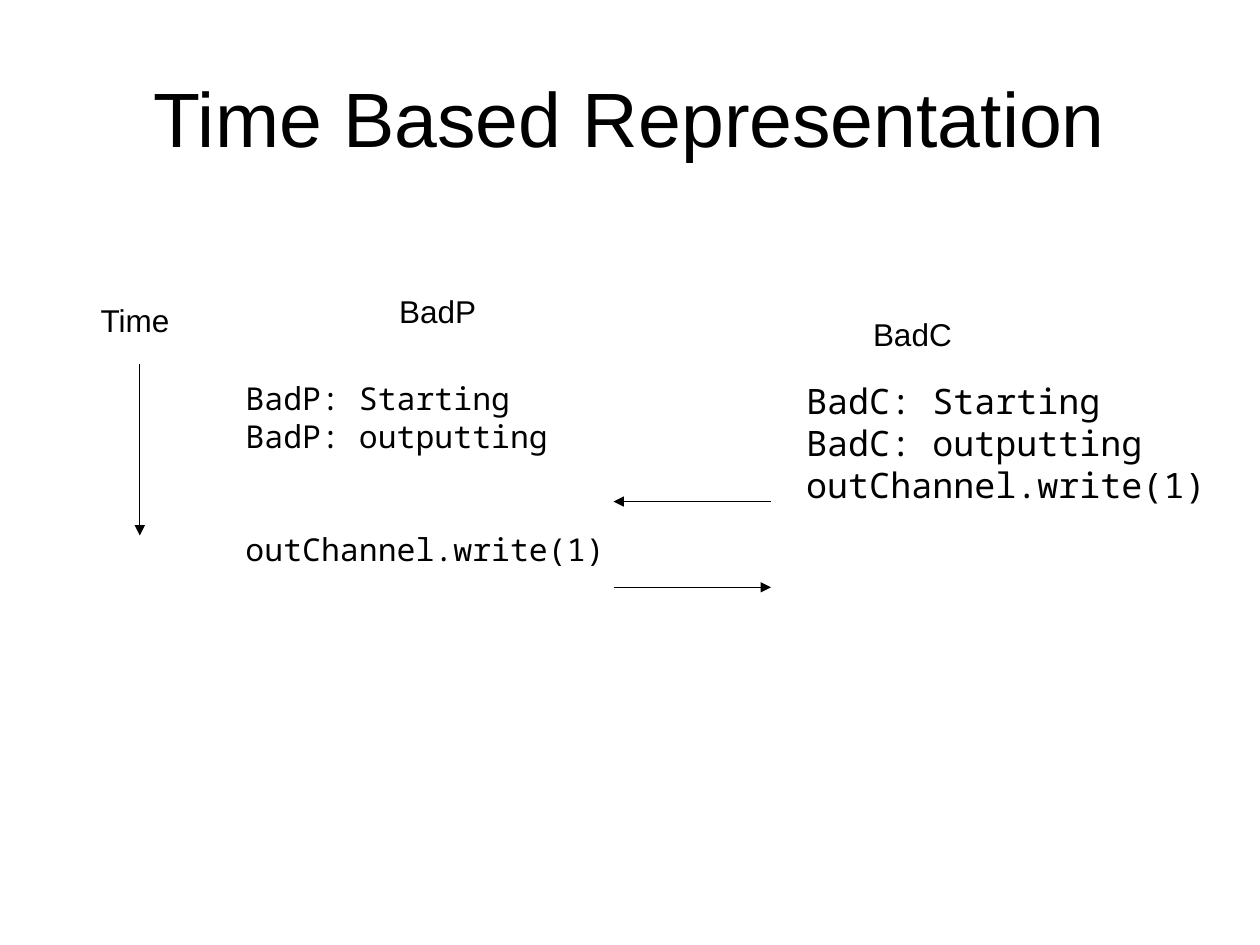
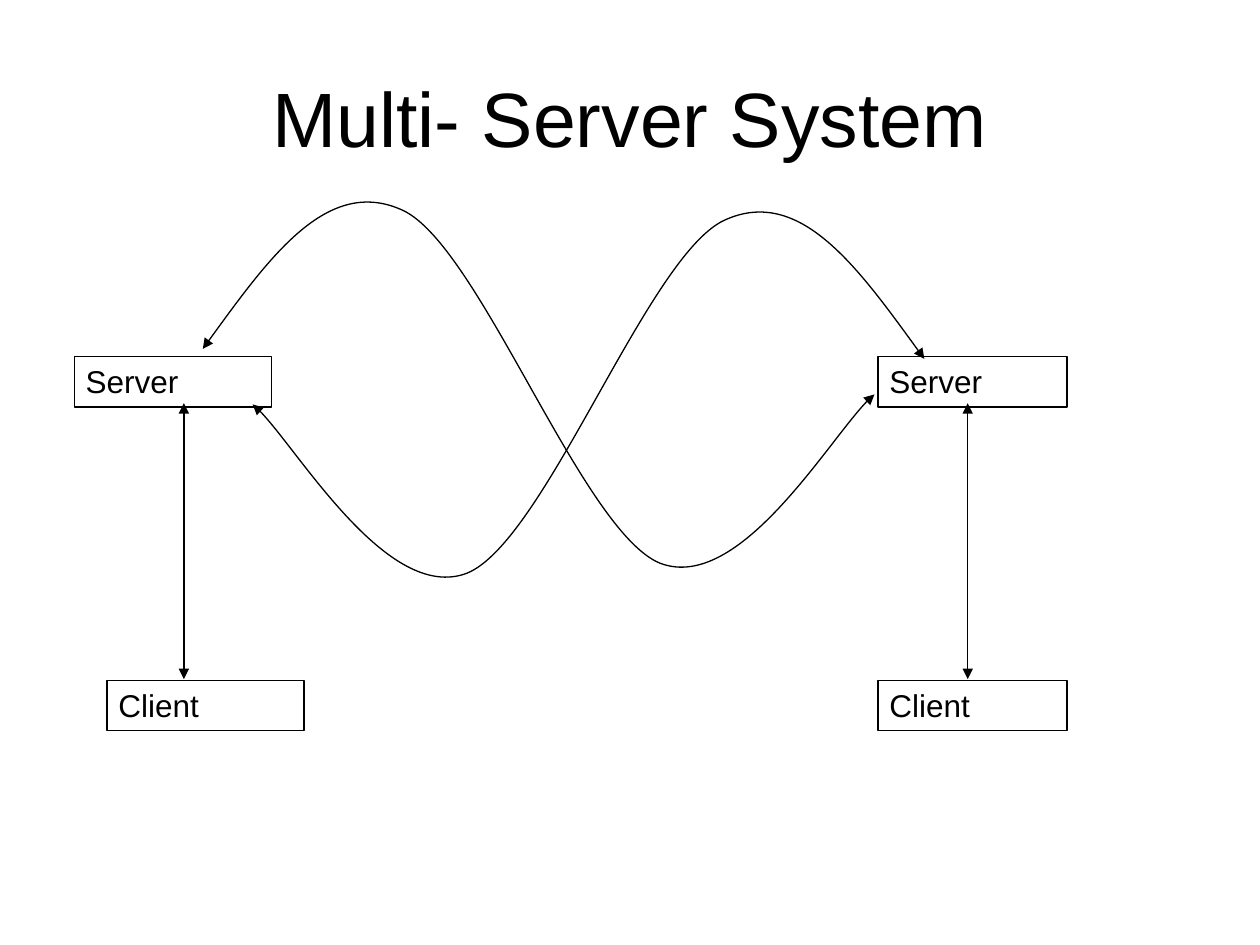
from pptx import Presentation
from pptx.dml.color import RGBColor
from pptx.enum.shapes import MSO_CONNECTOR
from pptx.enum.text import MSO_ANCHOR, MSO_AUTO_SIZE, PP_ALIGN
from pptx.oxml.ns import qn
from pptx.oxml.xmlchemy import OxmlElement
from pptx.util import Pt

STRAIGHT = MSO_CONNECTOR.STRAIGHT
MIDDLE = MSO_ANCHOR.MIDDLE
GROW = MSO_AUTO_SIZE.SHAPE_TO_FIT_TEXT
LEFT, CENTER = PP_ALIGN.LEFT, PP_ALIGN.CENTER

COLORS = {"ink": "000000", "paper": "FFFFFF"}
SANS, MONO = "Arial", "Noto Sans Mono"
TITLE_ONLY = 5
WAVE = [(0, 99.3), (36, 49.7), (71.3, 0), (114.5, 20.2), (158.4, 41),
        (216.7, 203.8), (261.4, 221.8), (306.7, 239), (363.6, 141.1), (383.8, 125.3)]


def color(name):
    return RGBColor.from_string(COLORS[name])


def write(para, text, size, font=SANS, align=LEFT):
    para.alignment = align
    run = para.add_run()
    run.text = text
    run.font.size = Pt(size)
    run.font.name = font
    run.font.color.rgb = color("ink")


def add_slide(deck, title):
    slide = deck.slides.add_slide(deck.slide_layouts[TITLE_ONLY])
    head = slide.shapes.title
    head.left, head.top, head.width, head.height = Pt(36), Pt(21.6), Pt(648), Pt(90)
    head.text_frame.vertical_anchor = MIDDLE
    write(head.text_frame.paragraphs[0], title, 44, align=CENTER)
    return slide


def add_text(slide, box, lines, size=18, font=SANS):
    shape = slide.shapes.add_textbox(*map(Pt, box))
    frame = shape.text_frame
    frame.word_wrap = True
    for i, (text, gap) in enumerate(lines):
        para = frame.add_paragraph() if i else frame.paragraphs[0]
        para.space_before = Pt(gap)
        write(para, text, size, font)
    return shape


def add_label(slide, box, lines, size=18, font=SANS):
    shape = add_text(slide, box, lines, size, font)
    shape.fill.solid()
    shape.fill.fore_color.rgb = color("paper")


def style_line(shape, ends):
    shape.line.color.rgb = color("ink")
    shape.line.width = Pt(0.75)
    edge = shape.element.spPr.find(qn("a:ln"))
    for end in ends:
        tip = OxmlElement(f"a:{end}End")
        tip.set("type", "triangle")
        edge.append(tip)


def add_arrow(slide, start, stop, ends=("tail",)):
    line = slide.shapes.add_connector(STRAIGHT, *map(Pt, start + stop))
    style_line(line, ends)
    line.element.spPr.append(OxmlElement("a:effectLst"))


def draw_axis(slide, box):
    x, y, w, h = box
    add_label(slide, (x, y, w, 36.7), [("Time", 0)])
    add_arrow(slide, (x + 29.5, y + 39.5), (x + 29.5, y + h))


def draw_calls(slide, box):
    x, y, w, h = box
    for row, start, stop in ((y, x + w, x), (y + h, x, x + w)):
        add_arrow(slide, (start, row), (stop, row))


def add_node(slide, box, name):
    shape = add_text(slide, box, [(name, 0)])
    frame = shape.text_frame
    frame.margin_left = frame.margin_right = Pt(6.5)
    frame.margin_top = frame.margin_bottom = Pt(3.2)
    frame.auto_size = GROW
    style_line(shape, ())


def draw_pair(slide, box, shift, link):
    x, y, w, h = box
    tall = 28.8
    low = y + h - tall
    add_node(slide, (x, y, w, tall), "Server")
    add_node(slide, (x + shift, low, w, tall), "Client")
    add_arrow(slide, (x + link, low - 0.7), (x + link, y + 26.6), ("head", "tail"))


def draw_wave(slide, box, flip):
    x, y, w, h = box
    wide, tall = WAVE[-1][0], max(b for a, b in WAVE)
    spots = [(Pt(x + w * (1 - a / wide if flip else a / wide)), Pt(y + h * b / tall))
             for a, b in WAVE]
    maker = slide.shapes.build_freeform(*spots[0])
    maker.add_line_segments(spots[1:], close=False)
    shape = maker.convert_to_shape()
    steps = list(shape.element.spPr.iter(qn("a:lnTo")))
    for i in range(0, len(steps), 3):
        curve = OxmlElement("a:cubicBezTo")
        steps[i].addprevious(curve)
        for step in steps[i:i + 3]:
            curve.append(step[0])
            step.getparent().remove(step)
    shape.fill.background()
    shape.shadow.inherit = False
    style_line(shape, ("head", "tail"))


def build_time(deck):
    slide = add_slide(deck, "Time Based Representation")
    add_label(slide, (221, 163.4, 64, 36.7), [("BadP", 0)])
    add_label(slide, (491.8, 176.4, 77, 36.7), [("BadC", 0)])
    draw_axis(slide, (50.4, 168.5, 89.3, 137.5))
    add_label(slide, (453.6, 213.1, 244.1, 122.4),
              [("BadC: Starting", 0), ("BadC: outputting", 0),
               ("outChannel.write(1)", 0)], 20, MONO)
    add_label(slide, (133.2, 213.1, 269.3, 134.6),
              [("BadP: Starting", 0), ("BadP: outputting", 0),
               ("outChannel.write(1)", 43)], 18, MONO)
    draw_calls(slide, (350.6, 286.6, 90, 49))


def build_servers(deck):
    slide = add_slide(deck, "Multi- Server System")
    draw_pair(slide, (42.5, 203.8, 112.5, 213.8), 18.7, 62.6)
    draw_pair(slide, (501.8, 203.8, 108, 213.8), 0, 51.2)
    draw_wave(slide, (144.4, 105.8, 383.8, 239), True)
    draw_wave(slide, (115.9, 100.1, 383.8, 239), False)


deck = Presentation()
deck.slide_width, deck.slide_height = Pt(720), Pt(540)
build_time(deck)
build_servers(deck)
deck.save("out.pptx")
